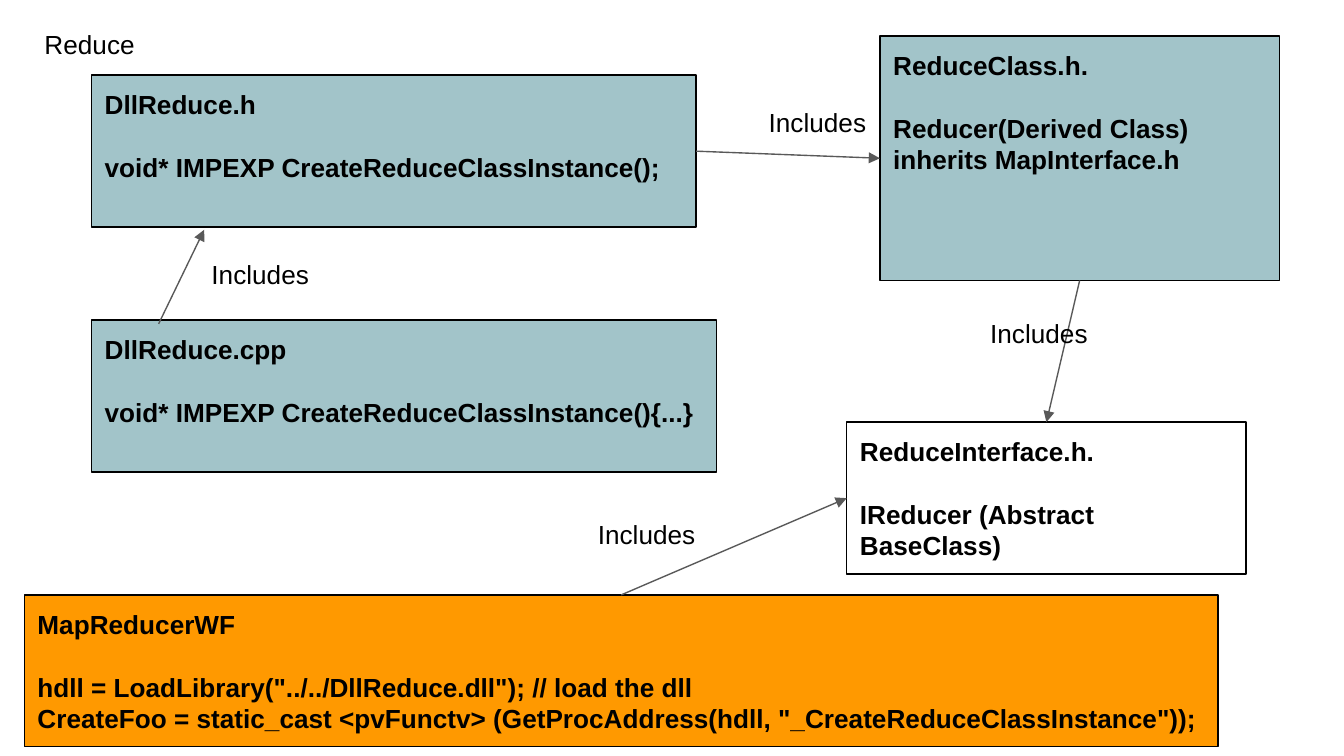
from lxml.etree import SubElement
from pptx import Presentation
from pptx.dml.color import RGBColor
from pptx.enum.shapes import MSO_CONNECTOR as Connector, MSO_SHAPE as Shape
from pptx.enum.text import MSO_ANCHOR as Anchor, MSO_AUTO_SIZE as AutoSize, PP_ALIGN as Align
from pptx.oxml.ns import qn
from pptx.util import Pt

COLORS = {"text": "000000", "outline": "000000", "arrow": "595959",
          "teal": "A2C4C9", "white": "FFFFFF", "orange": "FF9900"}
FONT, SIZE, LINE_HEIGHT, INSET = "Arial", 14, 16.8, 7.2
ROW = 81.4  # height of a standard box
LABEL_WIDTH, LABEL_HEIGHT = 93.6, 31
TOP, LEFT, BOTTOM, RIGHT = range(4)  # connection sites of a rectangle

TITLE = ("Reduce", (16.6, 7.9, 445, LABEL_HEIGHT))

# name: (left, top, width, height), fill, heading and code lines
BOXES = {
    "header": ((49, 40.3, 324, ROW), "teal",
               ["DllReduce.h", "void* IMPEXP CreateReduceClassInstance();"]),
    "source": ((49, 171.5, 334.8, ROW), "teal",
               ["DllReduce.cpp", "void* IMPEXP CreateReduceClassInstance(){...}"]),
    "interface": ((453.6, 226.2, 214, ROW), "white",
                  ["ReduceInterface.h.", "IReducer (Abstract BaseClass)"]),
    "class": ((471.4, 19.3, 214, 131), "teal",
              ["ReduceClass.h.", "Reducer(Derived Class) inherits MapInterface.h"]),
    "workflow": ((13, 318.7, 639.6, ROW), "orange",
                 ["MapReducerWF",
                  'hdll = LoadLibrary("../../DllReduce.dll"); // load the dll',
                  'CreateFoo = static_cast <pvFunctv> '
                  '(GetProcAddress(hdll, "_CreateReduceClassInstance"));']),
}

# (box, site) at each end
LINKS = [
    (("header", RIGHT), ("class", LEFT)),
    (("class", BOTTOM), ("interface", TOP)),
    (("workflow", TOP), ("interface", LEFT)),
]
SOURCE_ARROW = (85, 173.5, 109.4, 123.1)  # runs between the box edges, off their sites

LABEL = "Includes"
LABEL_SPOTS = [(106.2, 131.3), (404.7, 49.7), (523.4, 162.7), (313.2, 270.7)]


def color(name):
    return RGBColor.from_string(COLORS[name])


def points(values):
    return [Pt(value) for value in values]


def write(shape, lines, bold=False):
    frame = shape.text_frame
    frame.text = "\n".join(lines)
    frame.word_wrap = True
    frame.auto_size = AutoSize.NONE
    frame.vertical_anchor = Anchor.TOP
    frame.margin_left = frame.margin_right = Pt(INSET)
    frame.margin_top = frame.margin_bottom = Pt(INSET)
    for para in frame.paragraphs:
        para.alignment = Align.LEFT
        para.line_spacing = Pt(LINE_HEIGHT)
        para.space_before = para.space_after = Pt(0)
        for span in para.runs:
            span.font.name, span.font.size, span.font.bold = FONT, Pt(SIZE), bold
            span.font.color.rgb = color("text")
    if len(lines) > 1:  # one line of air below the heading
        frame.paragraphs[0].space_after = Pt(LINE_HEIGHT)


def add_arrow(page, ends):
    arrow = page.shapes.add_connector(Connector.STRAIGHT, *points(ends))
    arrow.line.color.rgb = color("arrow")
    arrow.line.width = Pt(0.75)
    properties = arrow.line._get_or_add_ln()
    SubElement(properties, qn("a:tailEnd"), type="triangle")
    SubElement(properties.getparent(), qn("a:effectLst"))
    return arrow


def main():
    deck = Presentation()
    deck.slide_width, deck.slide_height = Pt(720), Pt(405)
    page = deck.slides.add_slide(deck.slide_layouts[5])

    # Title
    text, place = TITLE
    title = page.shapes.title
    title.left, title.top, title.width, title.height = points(place)
    write(title, [text])

    # Boxes
    boxes = {}
    for name, (place, fill, lines) in BOXES.items():
        box = boxes[name] = page.shapes.add_shape(Shape.RECTANGLE, *points(place))
        box.shadow.inherit = False
        box.fill.solid()
        box.fill.fore_color.rgb = color(fill)
        box.line.color.rgb = color("outline")
        box.line.width = Pt(0.75)
        write(box, lines, bold=True)

    # Arrows
    add_arrow(page, SOURCE_ARROW)
    for (start, start_site), (end, end_site) in LINKS:
        arrow = add_arrow(page, (0, 0, 0, 0))
        arrow.begin_connect(boxes[start], start_site)
        arrow.end_connect(boxes[end], end_site)

    # Arrow labels
    for spot in LABEL_SPOTS:
        label = page.shapes.add_textbox(*points((*spot, LABEL_WIDTH, LABEL_HEIGHT)))
        write(label, [LABEL])

    deck.save("out.pptx")


if __name__ == "__main__":
    main()
